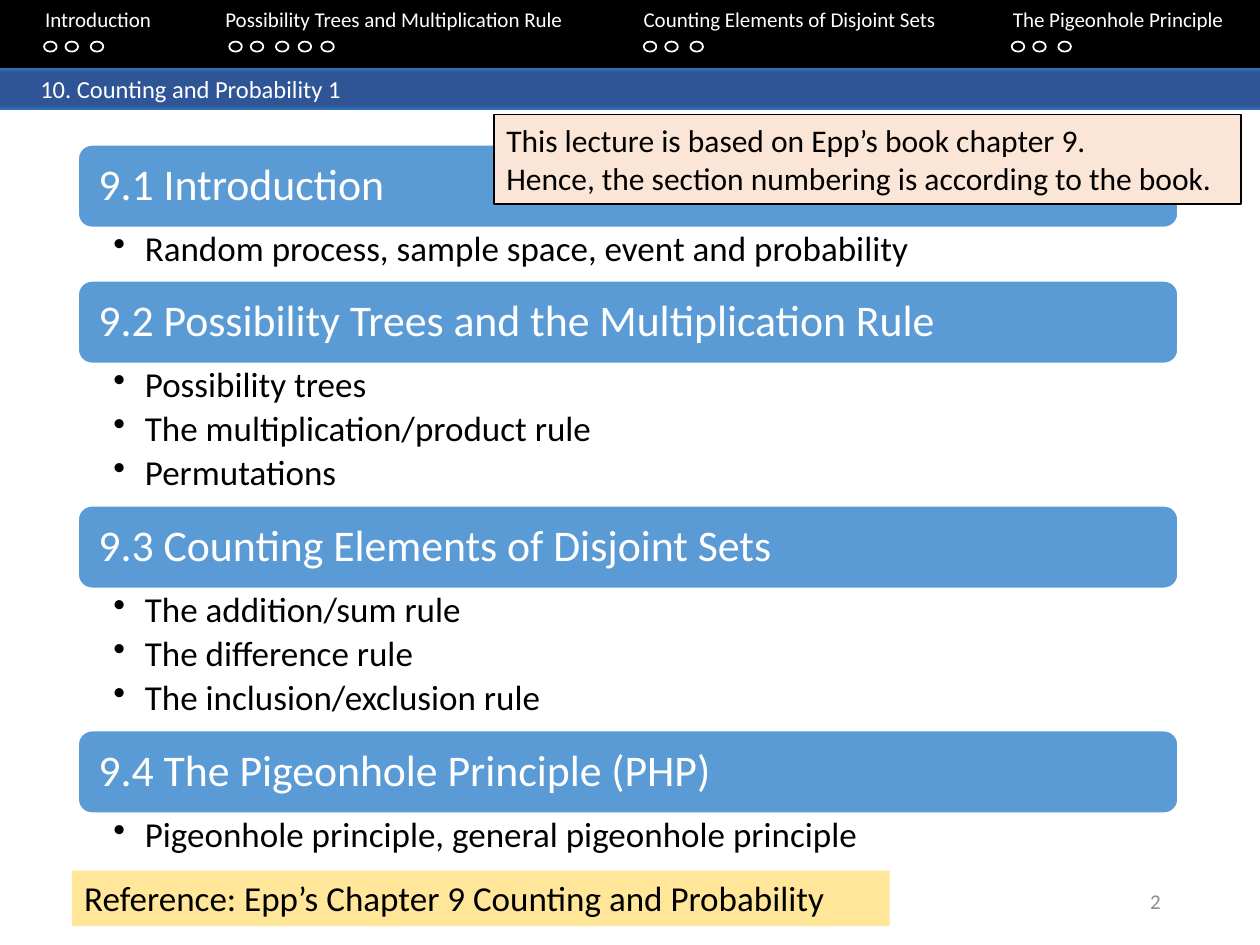
from lxml.etree import SubElement
from pptx import Presentation
from pptx.dml.color import RGBColor
from pptx.enum.shapes import MSO_SHAPE
from pptx.enum.text import MSO_ANCHOR, PP_ALIGN
from pptx.oxml.ns import qn
from pptx.util import Inches, Pt

SLIDE_W, SLIDE_H = Inches(10), Inches(7.5)
COL, ROW = SLIDE_W / 100, SLIDE_H / 75
FONT = "Calibri"
WHITE, BLACK = "FFFFFF", "000000"
BAND_STOPS = [(0, "2E75B6"), (11, "2F5597"), (91, "2F5597"), (100, "2E75B6")]

NAV = [
    ("Introduction", 2.6, 3.5, 3),
    ("Possibility Trees and Multiplication Rule", 16.9, 18.2, 5),
    ("Counting Elements of Disjoint Sets", 50.1, 51.1, 3),
    ("The Pigeonhole Principle", 79.4, 80.3, 3),
]
DOT_OFFSETS = [0, 1.7, 3.7, 5.5, 7.3]

SECTIONS = [
    ("9.1 Introduction", ["Random process, sample space, event and probability"]),
    ("9.2 Possibility Trees and the Multiplication Rule",
     ["Possibility trees", "The multiplication/product rule", "Permutations"]),
    ("9.3 Counting Elements of Disjoint Sets",
     ["The addition/sum rule", "The difference rule", "The inclusion/exclusion rule"]),
    ("9.4 The Pigeonhole Principle (PHP)",
     ["Pigeonhole principle, general pigeonhole principle"]),
]
HEADING_ROWS, TOPIC_ROWS, TOPIC_PADDING = 6.56, 3.53, 0.7


def color(hex_value):
    return RGBColor.from_string(hex_value)


def place(box):
    left, top, width, height = box
    return round(left * COL), round(top * ROW), round(width * COL), round(height * ROW)


def add_panel(slide, box, fill=None, line=None, line_width=1, kind=MSO_SHAPE.RECTANGLE):
    panel = slide.shapes.add_shape(kind, *place(box))
    panel.shadow.inherit = False
    if fill:
        panel.fill.solid()
        panel.fill.fore_color.rgb = color(fill)
    else:
        panel.fill.background()
    if line:
        panel.line.color.rgb = color(line)
        panel.line.width = Pt(line_width)
    else:
        panel.line.fill.background()
    return panel


def write(holder, text, size, ink, align=PP_ALIGN.LEFT, anchor=MSO_ANCHOR.TOP):
    frame = holder.text_frame
    frame.word_wrap = True
    frame.vertical_anchor = anchor
    frame.text = text
    for paragraph in frame.paragraphs:
        paragraph.alignment = align
        for run in paragraph.runs:
            run.font.name = FONT
            run.font.size = Pt(size)
            run.font.color.rgb = color(ink)
    return frame


def add_navigation(slide, box):
    left, top, width, height = box
    add_panel(slide, box, BLACK)
    labels = slide.shapes.add_textbox(*place((left, top, width, 5)))
    frame = write(labels, "".join("\t" + label for label, *_ in NAV), 12, WHITE)
    tabs = SubElement(frame.paragraphs[0]._p.get_or_add_pPr(), qn("a:tabLst"))
    for _, tab, first_dot, dots in NAV:
        SubElement(tabs, qn("a:tab"), pos=str(round(tab * COL)), algn="l")
        for offset in DOT_OFFSETS[:dots]:
            dot_box = (left + first_dot + offset, top + 3.3, 1, 0.8)
            add_panel(slide, dot_box, line=WHITE, kind=MSO_SHAPE.OVAL)


def add_title_band(slide, box, title):
    band = add_panel(slide, box)
    band.fill.gradient()
    band.fill.gradient_angle = 270
    stops = band._element.spPr.find(qn("a:gradFill")).find(qn("a:gsLst"))
    for stop in list(stops):
        stops.remove(stop)
    for share, shade in BAND_STOPS:
        stop = SubElement(stops, qn("a:gs"), pos=str(share * 1000))
        SubElement(stop, qn("a:srgbClr"), val=shade)
    frame = write(band, title, 14, WHITE, anchor=MSO_ANCHOR.MIDDLE)
    frame.margin_left = round(3.2 * COL)


def add_topics(slide, box, topics):
    frame = write(slide.shapes.add_textbox(*place(box)), "\n".join(topics), 20, BLACK)
    frame.margin_left, frame.margin_right = round(2.8 * COL), round(1.9 * COL)
    frame.margin_top = frame.margin_bottom = round(0.3 * ROW)
    indent = round(2.5 * COL)
    for paragraph in frame.paragraphs:
        paragraph.line_spacing = 0.9
        paragraph.space_after = Pt(3.5)
        properties = paragraph._p.get_or_add_pPr()
        properties.set("marL", str(indent))
        properties.set("indent", str(-indent))
        SubElement(properties, qn("a:buChar"), char="•")


def add_outline(slide, box):
    left, top, width, _ = box
    for heading, topics in SECTIONS:
        bar = add_panel(slide, (left, top, width, HEADING_ROWS), "5B9BD5", WHITE,
                        kind=MSO_SHAPE.ROUNDED_RECTANGLE)
        frame = write(bar, heading, 25, WHITE, anchor=MSO_ANCHOR.MIDDLE)
        frame.margin_left = frame.margin_right = round(1.3 * COL)
        frame.paragraphs[0].line_spacing = 0.9
        top += HEADING_ROWS
        topics_rows = TOPIC_PADDING + TOPIC_ROWS * len(topics)
        add_topics(slide, (left, top, width, topics_rows), topics)
        top += topics_rows


def add_note(slide, box, text, size, fill, line=None):
    write(add_panel(slide, box, fill, line, 0.75), text, size, BLACK)


def add_page_number(slide, box, number):
    write(slide.shapes.add_textbox(*place(box)), number, 12, "8C8C8C",
          PP_ALIGN.RIGHT, MSO_ANCHOR.MIDDLE)


def main():
    deck = Presentation()
    deck.slide_width, deck.slide_height = SLIDE_W, SLIDE_H
    slide = deck.slides.add_slide(deck.slide_layouts[6])
    add_page_number(slide, (70.6, 69.5, 22.5, 4), "2")
    add_title_band(slide, (0, 5.4, 100, 3.3), "10. Counting and Probability 1")
    add_outline(slide, (6.2, 11.5, 87.3, 57.6))
    add_navigation(slide, (0, 0, 100, 5.4))
    add_note(slide, (5.7, 69.1, 64.9, 4.4),
             "Reference: Epp’s Chapter 9 Counting and Probability", 20, "FFE699")
    add_note(slide, (39.2, 9.1, 59.3, 7.1),
             "This lecture is based on Epp’s book chapter 9.\n"
             "Hence, the section numbering is according to the book.",
             18, "FBE5D6", BLACK)
    deck.save("out.pptx")


if __name__ == "__main__":
    main()
